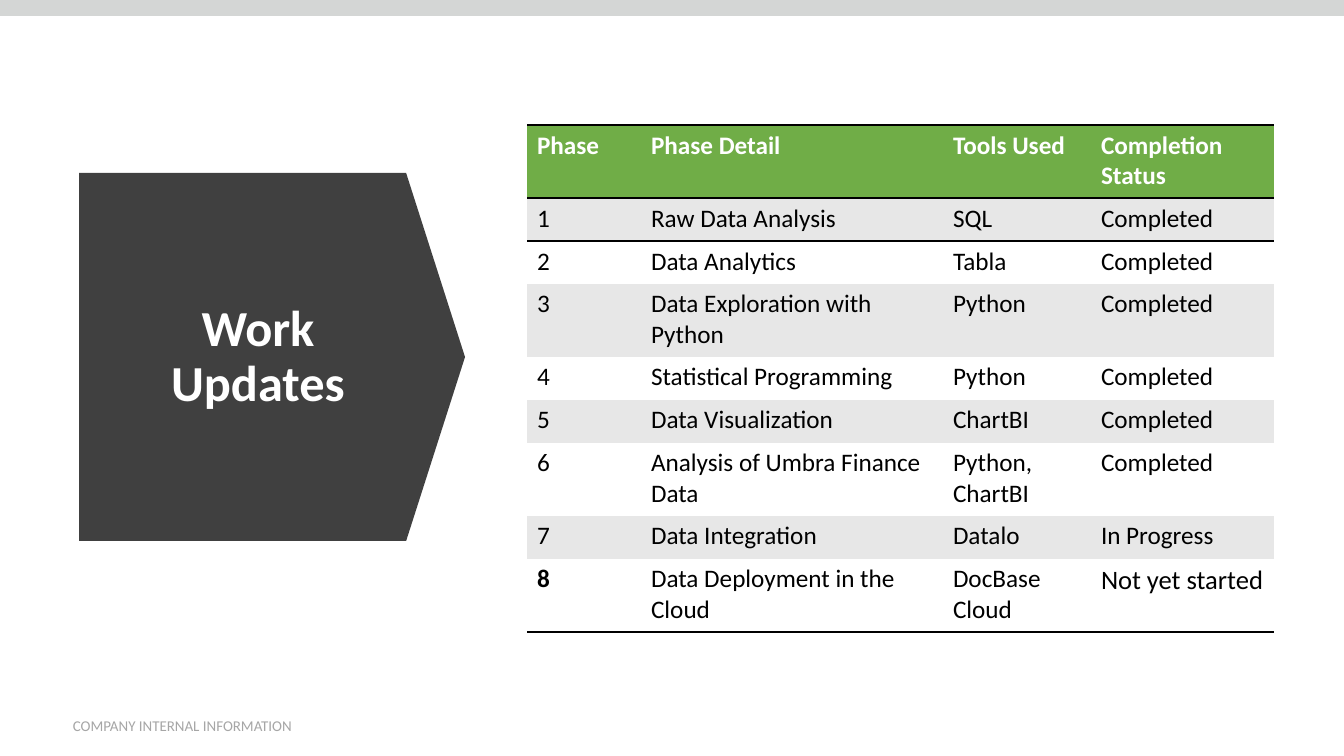
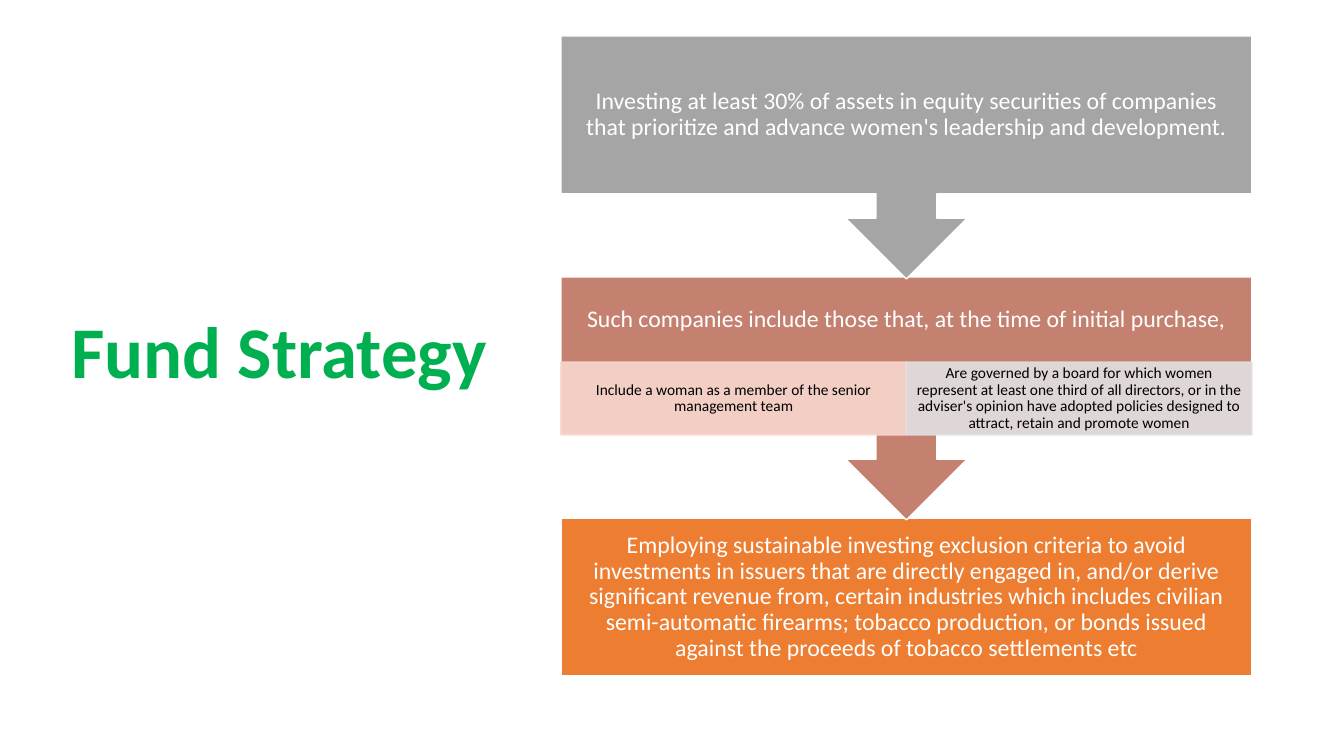
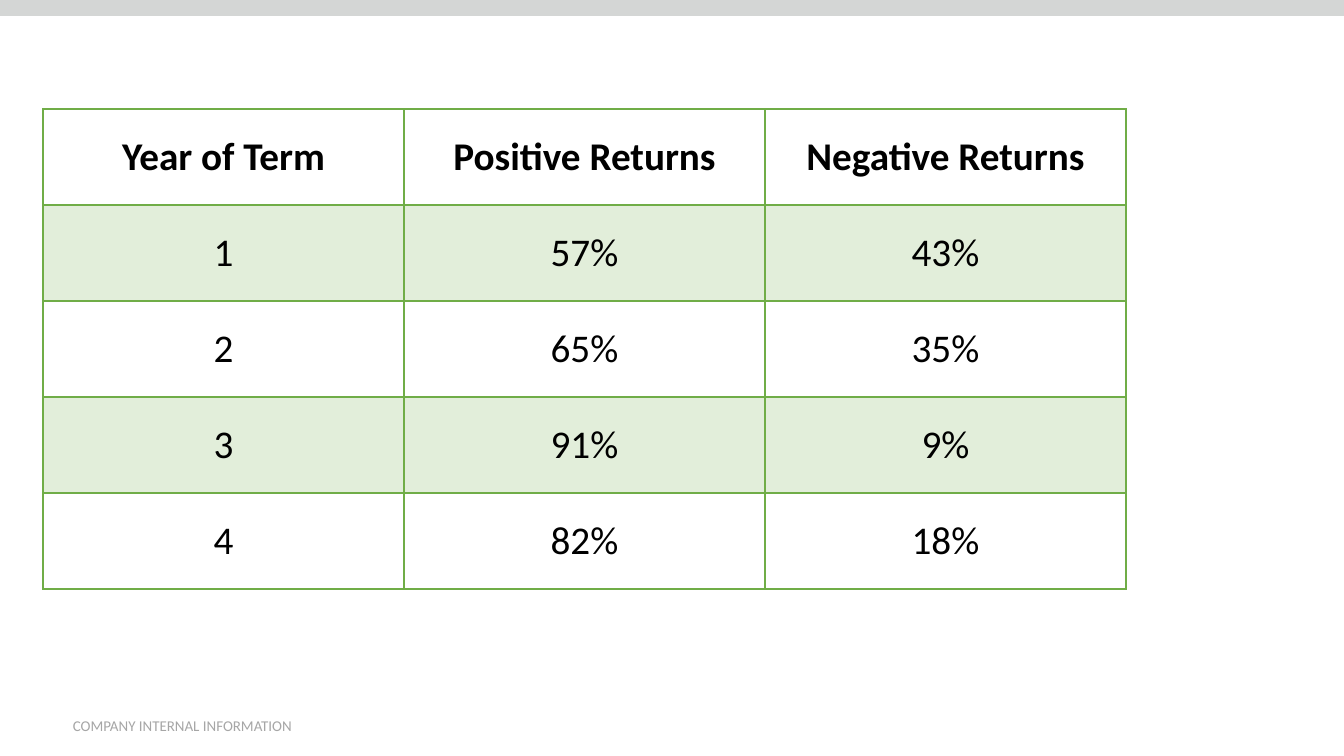
from lxml import etree
from pptx import Presentation
from pptx.dml.color import RGBColor
from pptx.enum.shapes import MSO_SHAPE
from pptx.enum.text import MSO_ANCHOR, MSO_AUTO_SIZE, PP_ALIGN
from pptx.oxml.ns import qn
from pptx.util import Emu, Pt

RECT = MSO_SHAPE.RECTANGLE
DOWN_ARROW = MSO_SHAPE.DOWN_ARROW
CALLOUT = MSO_SHAPE.DOWN_ARROW_CALLOUT
TOP, MIDDLE = MSO_ANCHOR.TOP, MSO_ANCHOR.MIDDLE
LEFT, CENTER = PP_ALIGN.LEFT, PP_ALIGN.CENTER
NO_FIT = MSO_AUTO_SIZE.NONE

WIDTH, HEIGHT = 1344, 756
SCALE = 12192000 / WIDTH
TITLE_ONLY, BLANK = 5, 6
PLAIN_TABLE = "{2D5ABB26-0587-4C30-8999-92F81FD0307C}"

WHITE, BLACK, GREEN = "FFFFFF", "000000", "70AD47"
CHARCOAL, BAND, FOOTER = "404040", "D4D6D5", "A6A6A6"


def px(length):
    return Emu(round(length * SCALE))


def rgb(color):
    return RGBColor.from_string(color)


def paint(fill, color, alpha=100):
    """Fill with a colour, or leave empty when the colour is None."""
    if color is None:
        fill.background()
        return
    fill.solid()
    fill.fore_color.rgb = rgb(color)
    if alpha < 100:
        tint = next(fill._xPr.iter(qn("a:srgbClr")))
        etree.SubElement(tint, qn("a:alpha"), val=str(alpha * 1000))


def set_borders(cell, color, **widths):
    """Draw the named sides (L, R, T, B) with their widths in points."""
    props = cell._tc.get_or_add_tcPr()
    sides = [side for side in "LRTB" if side in widths]
    for index, side in enumerate(sides):
        line = etree.Element(qn("a:ln" + side), w=str(Pt(widths[side])))
        solid = etree.SubElement(line, qn("a:solidFill"))
        etree.SubElement(solid, qn("a:srgbClr"), val=color)
        props.insert(index, line)


class Deck:
    font = "Calibri"

    def __init__(self):
        self.file = Presentation()
        self.file.slide_width, self.file.slide_height = px(WIDTH), px(HEIGHT)
        self.page = None

    def new_page(self, layout, framed=True):
        self.page = self.file.slides.add_slide(self.file.slide_layouts[layout])
        if framed:
            self.shape(RECT, 0, 0, WIDTH, 16, BAND)
            self.text(63, 712, 606, 45, "COMPANY INTERNAL INFORMATION", 10.7, FOOTER)

    def set_text(self, frame, text, size, color, bold=False, align=LEFT, spacing=None):
        para = frame.paragraphs[0]
        para.text = text
        para.alignment = align
        if spacing:
            para.line_spacing = spacing
        para.font.name = self.font
        para.font.size = Pt(size)
        para.font.bold = bold
        para.font.color.rgb = rgb(color)

    def title(self, left, top, width, height, text, size, color, align=LEFT):
        box = self.page.shapes.title
        box.left, box.top, box.width, box.height = map(px, (left, top, width, height))
        frame = box.text_frame
        frame.word_wrap, frame.auto_size = True, NO_FIT
        frame.vertical_anchor = MIDDLE
        self.set_text(frame, text, size, color, True, align, 0.9)
        # Bring the title above the shapes drawn so far
        self.page.shapes._spTree.append(box._element)

    def text(self, left, top, width, height, text, size, color):
        box = self.page.shapes.add_textbox(*map(px, (left, top, width, height)))
        box.text_frame.word_wrap = True
        self.set_text(box.text_frame, text, size, color)

    def shape(self, kind, left, top, width, height, color, line=None, alpha=100):
        shape = self.page.shapes.add_shape(kind, *map(px, (left, top, width, height)))
        shape.shadow.inherit = False
        paint(shape.fill, color, alpha)
        paint(shape.line.fill, line, alpha)
        if line:
            shape.line.width = Pt(1)
        return shape

    def label(self, shape, text, size, color, inset_x, inset_y, below=0):
        """Centre text in a shape; below keeps room free under the text."""
        frame = shape.text_frame
        frame.word_wrap, frame.vertical_anchor = True, MIDDLE
        frame.margin_left = frame.margin_right = px(inset_x)
        frame.margin_top = px(inset_y)
        frame.margin_bottom = px(inset_y + below)
        self.set_text(frame, text, size, color, align=CENTER, spacing=0.9)

    def table(self, left, top, widths, heights, rows, style):
        """Build a table; style(cell, row, column, text) formats each cell."""
        frame = self.page.shapes.add_table(
            len(rows), len(widths),
            *map(px, (left, top, sum(widths), sum(heights))))
        table = frame.table
        table._tbl.tblPr[0].text = PLAIN_TABLE
        for column, width in zip(table.columns, widths):
            column.width = px(width)
        for row, height in zip(table.rows, heights):
            row.height = px(height)
        for r, row in enumerate(rows):
            for c, text in enumerate(row):
                style(table.cell(r, c), r, c, text)


def work_updates(deck):
    deck.new_page(TITLE_ONLY)
    # Arrow panel with the title
    arrow = deck.shape(DOWN_ARROW, 88, 164, 368, 386, CHARCOAL)
    arrow.rotation = 270
    arrow.adjustments[0], arrow.adjustments[1] = 1, 0.16
    deck.title(155, 258, 206, 199, "Work Updates", 36, WHITE, CENTER)

    # Phase table
    rows = [
        ("Phase", "Phase Detail", "Tools Used", "Completion Status"),
        ("1", "Raw Data Analysis", "SQL", "Completed"),
        ("2", "Data Analytics", "Tabla", "Completed"),
        ("3", "Data Exploration with Python", "Python", "Completed"),
        ("4", "Statistical Programming", "Python", "Completed"),
        ("5", "Data Visualization", "ChartBI", "Completed"),
        ("6", "Analysis of Umbra Finance Data", "Python, ChartBI", "Completed"),
        ("7", "Data Integration", "Datalo", "In Progress"),
        ("8", "Data Deployment in the Cloud", "DocBase Cloud", "Not yet started"),
    ]
    last = len(rows) - 1
    two_line_rows = (0, 3, 6, 8)
    heights = [73 if r in two_line_rows else 43 for r in range(len(rows))]

    def style(cell, r, c, text):
        header = r == 0
        cell.vertical_anchor = TOP
        paint(cell.fill, GREEN if header else "E7E7E7" if r % 2 else WHITE)
        size = 19 if (r, c) == (last, 3) else 18
        bold = header or (r, c) == (last, 0)
        deck.set_text(cell.text_frame, text, size, WHITE if header else BLACK, bold)
        if header:
            set_borders(cell, BLACK, T=2, B=2)
        elif r == 1:
            set_borders(cell, BLACK, T=2)
        elif r == last:
            set_borders(cell, BLACK, B=2)

    deck.table(527, 125, (114, 302, 148, 183), heights, rows, style)


def fund_strategy(deck):
    deck.new_page(TITLE_ONLY, framed=False)
    deck.title(61, 48, 536, 614, "Fund Strategy", 52, "00B050")

    # Steps, from the last to the first so that each arrow tip lies on top
    left, width, first_top, pitch = 561, 691, 36, 241
    body, callout, branch = 158, 243, 73
    steps = [
        (2, RECT, body, "ED7D31", 0,
         "Employing sustainable investing exclusion criteria to avoid investments in "
         "issuers that are directly engaged in, and/or derive significant revenue from, "
         "certain industries which includes civilian semi-automatic firearms; tobacco "
         "production, or bonds issued against the proceeds of tobacco settlements etc"),
        (1, CALLOUT, callout, "C48170", branch,
         "Such companies include those that, at the time of initial purchase,"),
        (0, CALLOUT, callout, "A5A5A5", 0,
         "Investing at least 30% of assets in equity securities of companies that "
         "prioritize and advance women's leadership and development."),
    ]
    for index, kind, height, color, below, text in steps:
        step = deck.shape(kind, left, first_top + index * pitch, width, height, color, WHITE)
        deck.label(step, text, 17, WHITE, 13, 13, below)

    # Two conditions inside the middle step
    conditions = [
        ("F8D7CE", "Include a woman as a member of the senior management team"),
        ("E1E1E1", "Are governed by a board for which women represent at least one third "
                   "of all directors, or in the adviser's opinion have adopted policies "
                   "designed to attract, retain and promote women"),
    ]
    half = width / 2
    for index, (color, text) in enumerate(conditions):
        box = deck.shape(RECT, left + index * half, 362, half, branch, color, color, 90)
        deck.label(box, text, 11, BLACK, 9, 2)


def returns_by_term(deck):
    deck.new_page(BLANK)
    rows = [
        ("Year of Term", "Positive Returns", "Negative Returns"),
        ("1", "57%", "43%"),
        ("2", "65%", "35%"),
        ("3", "91%", "9%"),
        ("4", "82%", "18%"),
    ]

    def style(cell, r, c, text):
        cell.vertical_anchor = MIDDLE
        paint(cell.fill, GREEN if r % 2 else None, 20)
        deck.set_text(cell.text_frame, text, 28, BLACK, r == 0, CENTER)
        set_borders(cell, GREEN, L=1, R=1, T=2 if r == 1 else 1, B=2 if r == 0 else 1)

    deck.table(43, 109, [361] * 3, [96] * len(rows), rows, style)


def main():
    deck = Deck()
    work_updates(deck)
    fund_strategy(deck)
    returns_by_term(deck)
    deck.file.save("out.pptx")


if __name__ == "__main__":
    main()
